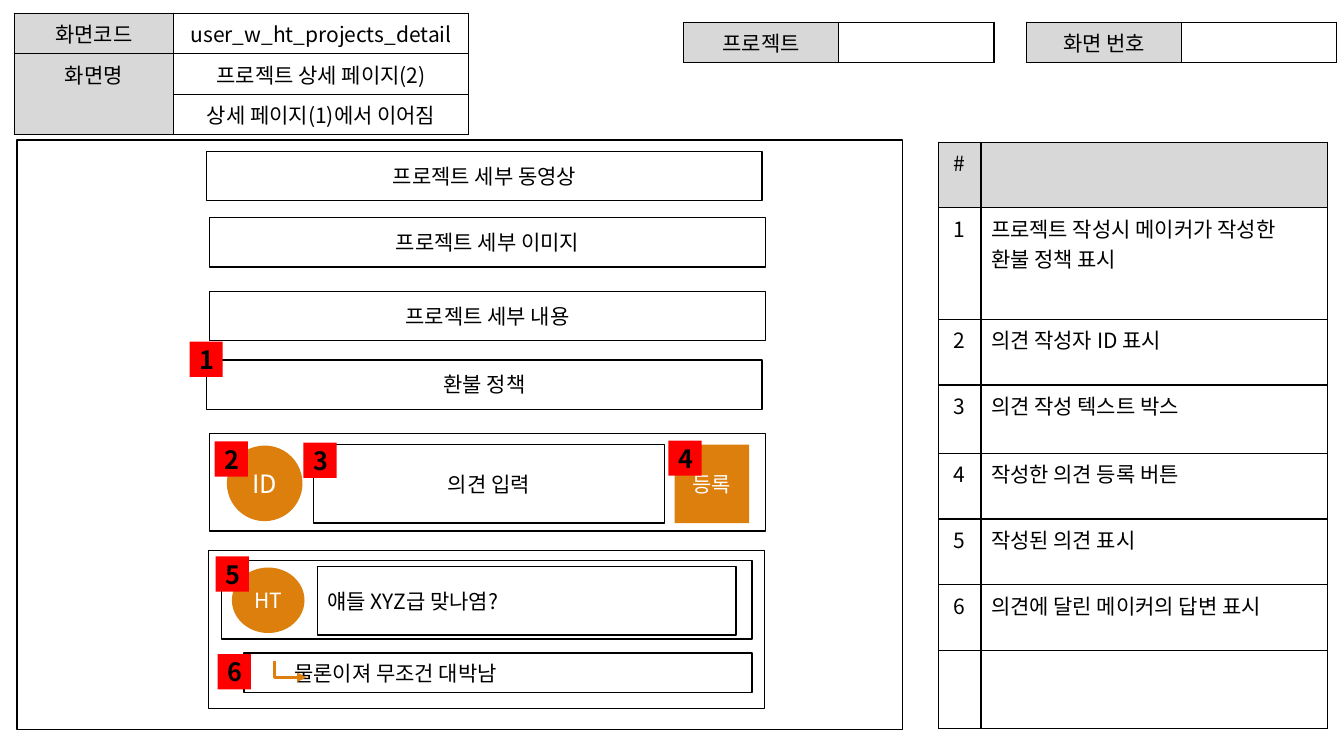
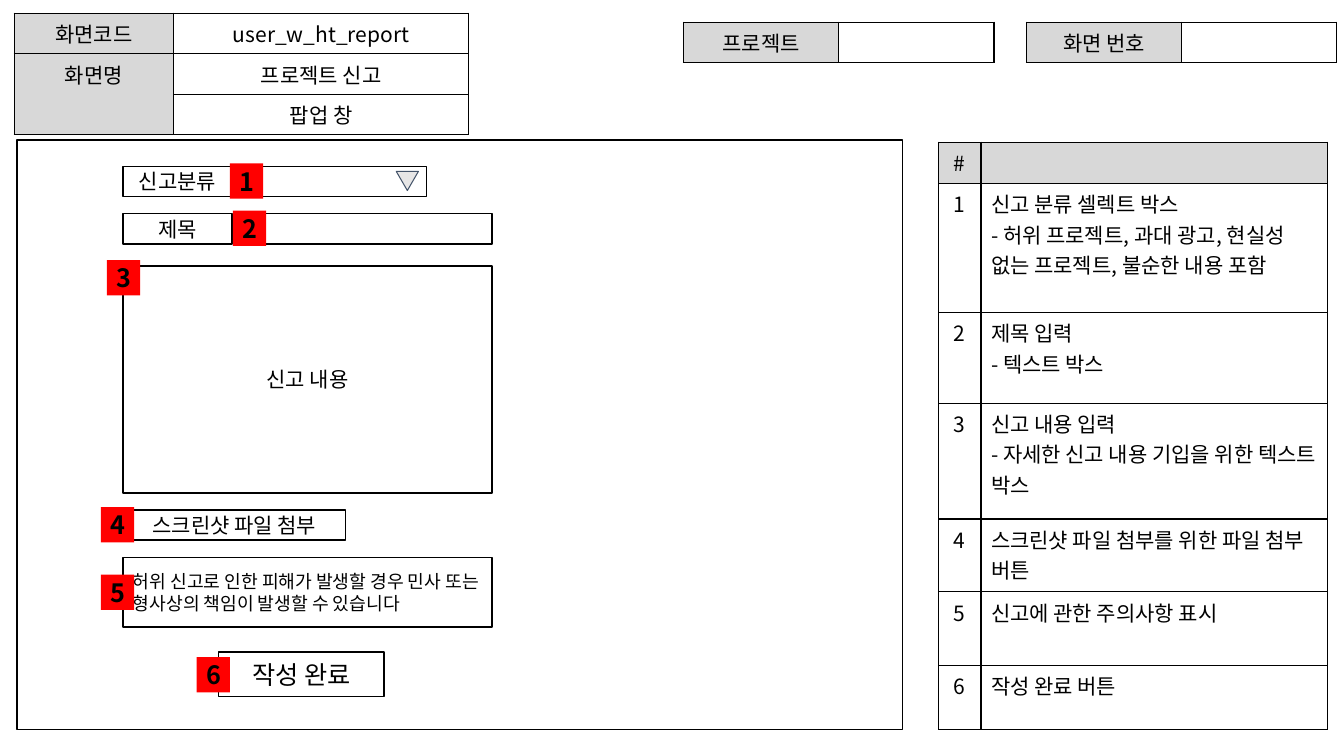
from lxml.etree import SubElement
from pptx import Presentation
from pptx.dml.color import RGBColor
from pptx.enum.shapes import MSO_CONNECTOR as Link, MSO_SHAPE as Shape
from pptx.enum.text import MSO_ANCHOR as Anchor, PP_ALIGN as Align
from pptx.oxml.ns import qn
from pptx.util import Inches, Pt

FONT = "Noto Sans CJK KR"
COLORS = {
    "ink": "000000",
    "white": "FFFFFF",
    "header": "D8D8D8",
    "badge": "FF0000",
    "accent": "DC7F0D",
    "arrow_fill": "E7E6E6",
    "arrow_line": "44546A",
}


def rgb(name):
    return RGBColor.from_string(COLORS[name])


def write(frame, text, size=15, color="ink", bold=False, align=Align.CENTER):
    for index, line in enumerate(text.split("\n")):
        para = frame.add_paragraph() if index else frame.paragraphs[0]
        para.alignment = align
        if not line:
            SubElement(para._p, qn("a:endParaRPr"), sz=str(size * 100))
            continue
        span = para.add_run()
        span.text = line
        span.font.size = Pt(size)
        span.font.bold = bold
        span.font.color.rgb = rgb(color)
        span.font.name = FONT
        SubElement(span._r.get_or_add_rPr(), qn("a:ea"), typeface=FONT)


class Wireframe:
    def __init__(self):
        self.deck = Presentation()
        self.deck.slide_width = Inches(13.33)
        self.deck.slide_height = Inches(7.5)
        self.page = None

    def new_page(self, code, name, detail, heights, notes):
        self.page = self.deck.slides.add_slide(self.deck.slide_layouts[6])
        title = self.table(0.14, 0.13, [1.58, 2.93], [0.403] * 3,
                           [["화면코드", code], ["화면명", name], ["", detail]], header_column=True)
        title.cell(1, 0).merge(title.cell(2, 0))
        for left, label in ((6.78, "프로젝트"), (10.18, "화면 번호")):
            self.table(left, 0.22, [1.54, 1.54], [0.4], [[label, ""]], header_column=True)
        numbered = [[str(number), note] for number, note in enumerate(notes, 1)]
        blanks = [["", ""]] * (len(heights) - len(notes) - 1)
        self.table(9.31, 1.41, [0.42, 3.44], heights, [["#", ""]] + numbered + blanks,
                   header_row=True, text_column=1)
        self.box(0.17, 1.39, 8.78, 5.85)

    def table(self, left, top, widths, heights, rows,
              header_row=False, header_column=False, text_column=None):
        frame = self.page.shapes.add_table(
            len(rows), len(widths), Inches(left), Inches(top),
            Inches(sum(widths)), Inches(sum(heights)))
        table = frame.table
        table.first_row = table.horz_banding = False
        for column, width in zip(table.columns, widths):
            column.width = Inches(width)
        for y, (row, height) in enumerate(zip(rows, heights)):
            table.rows[y].height = Inches(height)
            for x, text in enumerate(row):
                is_header = (header_row and y == 0) or (header_column and x == 0)
                align = Align.LEFT if x == text_column else Align.CENTER
                self.cell(table.cell(y, x), text, "header" if is_header else "white", align)
        return table

    def cell(self, cell, text, fill, align):
        write(cell.text_frame, text, align=align)
        properties = cell._tc.get_or_add_tcPr()
        for side in ("a:lnL", "a:lnR", "a:lnT", "a:lnB"):
            border = SubElement(properties, qn(side), w=str(Pt(0.96)))
            paint = SubElement(border, qn("a:solidFill"))
            SubElement(paint, qn("a:srgbClr"), val=COLORS["ink"])
        cell.fill.solid()
        cell.fill.fore_color.rgb = rgb(fill)

    def box(self, left, top, width, height, text="", kind=Shape.RECTANGLE,
            fill=None, line="ink", weight=1, inset=0.1, **style):
        box = self.page.shapes.add_shape(
            kind, Inches(left), Inches(top), Inches(width), Inches(height))
        box.shadow.inherit = False
        if fill:
            box.fill.solid()
            box.fill.fore_color.rgb = rgb(fill)
        else:
            box.fill.background()
        if line:
            box.line.color.rgb = rgb(line)
            box.line.width = Pt(weight)
        else:
            box.line.fill.background()
        if text:
            frame = box.text_frame
            frame.word_wrap = True
            frame.vertical_anchor = Anchor.MIDDLE
            frame.margin_left = Inches(inset)
            write(frame, text, **style)
        return box

    def accent(self, left, top, width, height, text, **style):
        self.box(left, top, width, height, text, fill="accent", line=None, color="white", **style)

    def badges(self, *places):
        for number, (left, top) in enumerate(places, 1):
            self.box(left, top, 0.33, 0.35, str(number), fill="badge", line=None, size=18, bold=True)

    def reply_arrow(self, left, top, right, bottom):
        arrow = self.page.shapes.add_connector(
            Link.ELBOW, Inches(left), Inches(top), Inches(right), Inches(bottom))
        arrow.line.color.rgb = rgb("accent")
        arrow.line.width = Pt(2.25)
        properties = arrow._element.spPr
        guides = properties.find(qn("a:prstGeom")).find(qn("a:avLst"))
        SubElement(guides, qn("a:gd"), name="adj1", fmla="val 0")
        SubElement(properties.find(qn("a:ln")), qn("a:tailEnd"), type="triangle")
        SubElement(properties, qn("a:effectLst"))


def project_detail(wire):
    wire.new_page(
        "user_w_ht_projects_detail", "프로젝트 상세 페이지(2)", "상세 페이지(1)에서 이어짐",
        [0.65, 1.11, 0.65, 0.68, 0.65, 0.65, 0.65, 0.78],
        ["프로젝트 작성시 메이커가 작성한 환불 정책 표시", "의견 작성자 ID 표시",
         "의견 작성 텍스트 박스", "작성한 의견 등록 버튼", "작성된 의견 표시",
         "의견에 달린 메이커의 답변 표시"])
    for left, top, text in ((2.05, 1.5, "프로젝트 세부 동영상"), (2.08, 2.16, "프로젝트 세부 이미지"),
                            (2.08, 2.89, "프로젝트 세부 내용"), (2.05, 3.57, "환불 정책")):
        wire.box(left, top, 5.51, 0.49, text)

    wire.box(2.08, 4.3, 5.51, 0.97)
    wire.accent(2.25, 4.42, 0.75, 0.75, "ID", kind=Shape.OVAL, size=18)
    wire.box(3.11, 4.41, 3.48, 0.78, "의견 입력")
    wire.accent(6.69, 4.41, 0.74, 0.78, "등록")

    wire.box(2.07, 5.46, 5.51, 1.57)
    wire.box(2.2, 5.56, 5.26, 0.78)
    wire.accent(2.3, 5.63, 0.72, 0.65, "HT", kind=Shape.OVAL)
    wire.box(3.15, 5.62, 4.15, 0.68, "얘들 XYZ급 맞나염?", align=Align.LEFT)
    wire.box(2.42, 6.48, 5.04, 0.39, "물론이져 무조건 대박남", inset=0.5, align=Align.LEFT)
    wire.badges((1.88, 3.39), (2.13, 4.38), (3.01, 4.39), (6.63, 4.37), (2.14, 5.52), (2.16, 6.49))
    wire.reply_arrow(2.72, 6.56, 3.04, 6.72)


def report_popup(wire):
    wire.new_page(
        "user_w_ht_report", "프로젝트 신고", "팝업 창",
        [0.41, 1.28, 0.9, 1.15, 0.72, 0.73, 0.64],
        ["신고 분류 셀렉트 박스\n- 허위 프로젝트, 과대 광고, 현실성 없는 프로젝트, 불순한 내용 포함",
         "제목 입력\n- 텍스트 박스",
         "신고 내용 입력\n- 자세한 신고 내용 기입을 위한 텍스트 박스",
         "스크린샷 파일 첨부를 위한 파일 첨부 버튼", "신고에 관한 주의사항 표시", "작성 완료 버튼"])
    left = 1.22
    for top, label, width in ((1.65, "신고분류", 1.79), (2.12, "제목", 2.44)):
        wire.box(2.44, top, width, 0.3, fill="white")
        wire.box(left, top, 1.08, 0.3, label, fill="white")
    marker = wire.box(3.93, 1.7, 0.22, 0.19, kind=Shape.ISOSCELES_TRIANGLE,
                      fill="arrow_fill", line="arrow_line", weight=0.75)
    marker.rotation = 180
    wire.box(left, 2.64, 3.66, 2.25, "신고 내용", fill="white")
    wire.box(left, 5.06, 2.21, 0.3, "스크린샷 파일 첨부", fill="white")
    wire.box(left, 5.53, 3.66, 0.69,
             "허위 신고로 인한 피해가 발생할 경우 민사 또는 형사상의 책임이 발생할 수 있습니다",
             fill="white", size=13, align=Align.LEFT)
    wire.box(2.17, 6.47, 1.64, 0.44, "작성 완료", fill="white", size=18)
    wire.badges((2.28, 1.62), (2.31, 2.09), (1.06, 2.58), (1, 5.03), (1, 5.7), (1.95, 6.52))


def main():
    wire = Wireframe()
    project_detail(wire)
    report_popup(wire)
    wire.deck.save("out.pptx")


if __name__ == "__main__":
    main()
